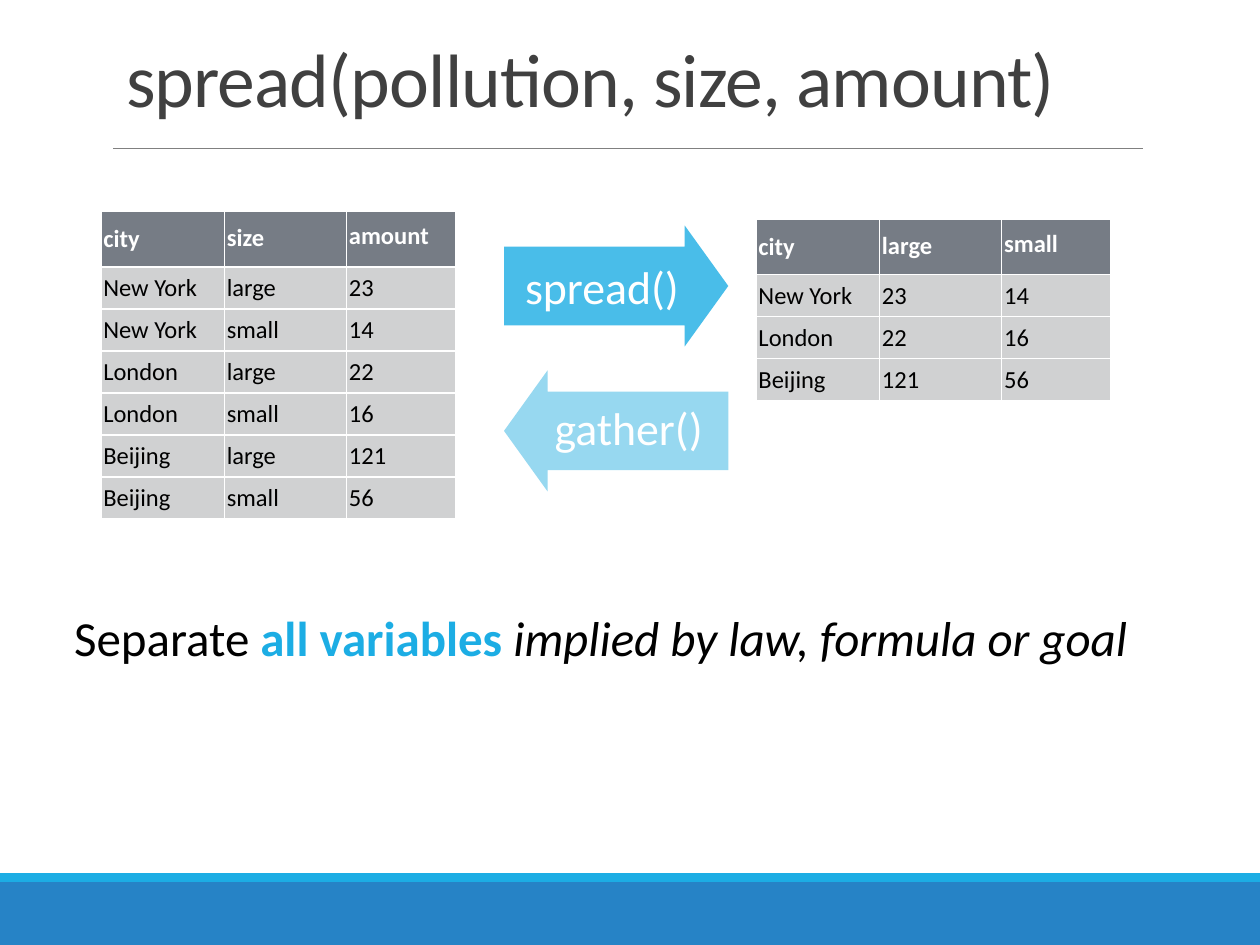
from lxml import etree
from pptx import Presentation
from pptx.dml.color import RGBColor
from pptx.enum.shapes import MSO_CONNECTOR, MSO_SHAPE
from pptx.enum.text import MSO_ANCHOR, MSO_AUTO_SIZE, PP_ALIGN
from pptx.oxml import parse_xml
from pptx.oxml.ns import qn
from pptx.util import Inches, Pt

RECT, RIGHT, LEFT = MSO_SHAPE.RECTANGLE, MSO_SHAPE.RIGHT_ARROW, MSO_SHAPE.LEFT_ARROW
STRAIGHT = MSO_CONNECTOR.STRAIGHT
MIDDLE, BOTTOM, TOP = MSO_ANCHOR.MIDDLE, MSO_ANCHOR.BOTTOM, MSO_ANCHOR.TOP
FIT, FIXED = MSO_AUTO_SIZE.SHAPE_TO_FIT_TEXT, MSO_AUTO_SIZE.NONE
START, CENTER = PP_ALIGN.LEFT, PP_ALIGN.CENTER
MARGINS = ("margin_left", "margin_top", "margin_right", "margin_bottom")
FACE, WHITE, BLACK, CYAN = "Calibri", "FFFFFF", "000000", "1CADE4"
HEAD, BODY = "767C85", "D0D1D2"
COLS, TIGHT = (0.98, 0.97, 0.87), (1, 0.8, 0.6)
LONG = (
    ("city", "size", "amount"),
    ("New York", "large", "23"),
    ("New York", "small", "14"),
    ("London", "large", "22"),
    ("London", "small", "16"),
    ("Beijing", "large", "121"),
    ("Beijing", "small", "56"),
)
WIDE = (
    ("city", "large", "small"),
    ("New York", "23", "14"),
    ("London", "22", "16"),
    ("Beijing", "121", "56"),
)


def color(code):
    """Turn a hex string into a colour."""
    return RGBColor.from_string(code)


def apply(item, values):
    """Set attributes of an item from a dict."""
    for name, value in values.items():
        setattr(item, name, value)


def inset(item, size):
    """Give all four margins one size."""
    apply(item, dict.fromkeys(MARGINS, Inches(size)))


def write(para, text, size, code, **style):
    """Add a styled run to a paragraph."""
    run = para.add_run()
    run.text = text
    apply(run.font, {"name": FACE, "size": Pt(size), **style})
    run.font.color.rgb = color(code)
    return run


def add_form(slide, kind, box, code):
    """Add a filled preset shape with no outline."""
    form = slide.shapes.add_shape(kind, *map(Inches, box))
    form.shadow.inherit = False
    form.fill.solid()
    form.fill.fore_color.rgb = color(code)
    form.line.fill.background()
    return form


def add_arrow(slide, kind, top, code):
    """Add a block arrow between the tables."""
    arrow = add_form(slide, kind, (4, top, 1.78, 0.96), code)
    arrow.adjustments[0], arrow.adjustments[1] = 0.65, 0.36
    return arrow


def fade(form, percent):
    """Set the opacity of a solid fill."""
    tint = next(form.fill._xPr.iter(qn("a:srgbClr")))
    etree.SubElement(tint, qn("a:alpha"), val=str(percent * 1000))


def label(frame, text):
    """Write a centred white label for an arrow."""
    inset(frame, 0.03)
    frame.vertical_anchor = MIDDLE
    para = frame.paragraphs[0]
    para.alignment = CENTER
    write(para, text, 26.2, WHITE)


def add_box(slide, box, wrap):
    """Add a text box that grows and return its frame."""
    frame = slide.shapes.add_textbox(*map(Inches, box)).text_frame
    apply(frame, {"word_wrap": wrap, "auto_size": FIT, "vertical_anchor": TOP})
    return frame


def add_rule(slide):
    """Add the thin line below the title."""
    ends = map(Inches, (0.9, 1.18, 9.07, 1.18))
    rule = slide.shapes.add_connector(STRAIGHT, *ends)
    rule.line.color.rgb = color("808080")
    rule.line.width = Pt(0.5)
    etree.SubElement(rule._element.spPr, qn("a:effectLst"))


def edge(cell):
    """Draw white borders around a cell."""
    space = "http://schemas.openxmlformats.org/drawingml/2006/main"
    for side in "LRTB":
        cell._tc.get_or_add_tcPr().append(parse_xml(
            f'<a:ln{side} xmlns:a="{space}" w="12700"><a:solidFill>'
            f'<a:srgbClr val="{WHITE}"/></a:solidFill></a:ln{side}>'))


def fill_cell(cell, text, head, pitch):
    """Format one table cell and write its text."""
    edge(cell)
    inset(cell, 0.02)
    cell.vertical_anchor = MIDDLE
    cell.fill.solid()
    cell.fill.fore_color.rgb = color(HEAD if head else BODY)
    para = cell.text_frame.paragraphs[0]
    para.alignment = START
    if head:
        para.line_spacing = pitch
    write(para, text, 14, WHITE if head else BLACK, bold=head)


def add_grid(slide, left, top, rows):
    """Add a data table with a header row."""
    highs = [0.44] + [1 / 3] * (len(rows) - 1)
    box = map(Inches, (left, top, sum(COLS), sum(highs)))
    grid = slide.shapes.add_table(len(rows), len(COLS), *box).table
    grid.horz_banding = False
    for col, width in zip(grid.columns, COLS):
        col.width = Inches(width)
    for r, (row, high) in enumerate(zip(rows, highs)):
        grid.rows[r].height = Inches(high)
        for c, text in enumerate(row):
            fill_cell(grid.cell(r, c), text, r == 0, TIGHT[c])


def set_title(slide, text):
    """Place the title and write it."""
    title = slide.shapes.title
    places = map(Inches, (0.9, 0.31, 8.25, 0.72))
    apply(title, dict(zip(("left", "top", "width", "height"), places)))
    frame = title.text_frame
    apply(frame, {"vertical_anchor": BOTTOM, "auto_size": FIXED, "word_wrap": True})
    para = frame.paragraphs[0]
    apply(para, {"alignment": START, "line_spacing": 0.85})
    run = write(para, text, 43.2, "404040")
    run.font._element.set("spc", "-50")


def main():
    """Build the slide and save it."""
    deck = Presentation()
    apply(deck, {"slide_width": Inches(10), "slide_height": Inches(7.5)})
    slide = deck.slides.add_slide(deck.slide_layouts[5])
    add_form(slide, RECT, (0, 7, 10, 0.5), "2683C6")
    add_form(slide, RECT, (0, 6.93, 10, 0.07), CYAN)
    add_rule(slide)
    set_title(slide, "spread(pollution, size, amount)")
    add_grid(slide, 0.8, 1.68, LONG)
    add_grid(slide, 6, 1.74, WIDE)
    spread = add_arrow(slide, RIGHT, 1.79, CYAN)
    fade(spread, 80)
    label(spread.text_frame, "spread()")
    add_arrow(slide, LEFT, 2.94, "97D8F0")
    label(add_box(slide, (4.34, 3.14, 1.3, 0.5), False), "gather()")
    para = add_box(slide, (0.49, 4.77, 9.24, 0.57), True).paragraphs[0]
    write(para, "Separate ", 28, BLACK)
    write(para, "all variables ", 28, CYAN, bold=True)
    write(para, "implied by law, formula or goal", 28, BLACK, italic=True)
    deck.save("out.pptx")


if __name__ == "__main__":
    main()
